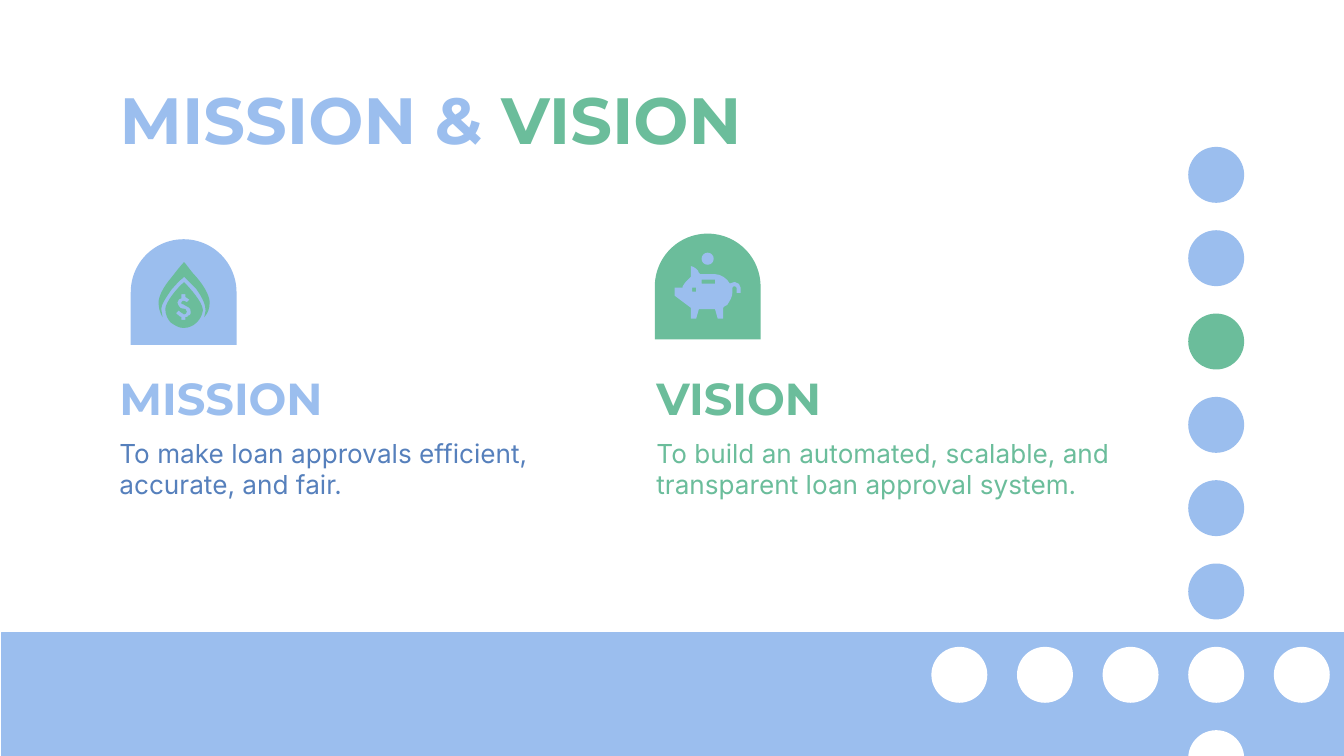
from dataclasses import dataclass

from lxml.etree import SubElement
from pptx import Presentation
from pptx.dml.color import RGBColor as RGB
from pptx.enum.shapes import MSO_SHAPE as Shape
from pptx.enum.text import MSO_ANCHOR as Anchor, MSO_AUTO_SIZE as Fit, PP_ALIGN as Align
from pptx.oxml.ns import qn
from pptx.util import Inches, Pt

WIDE = Inches(10)
HIGH = WIDE * 9 // 16
UNIT = WIDE / 100  # the slide is a square grid, 100 columns wide

Point = tuple[float, float]
Ring = list[list[Point]]  # each step lists its points: one for a line, three for a curve


@dataclass(frozen=True)
class Theme:
    blue: RGB = RGB.from_string("9BBEEE")
    green: RGB = RGB.from_string("6BBD9B")
    ink: RGB = RGB.from_string("5680BC")
    white: RGB = RGB.from_string("FFFFFF")
    head: str = "Montserrat"
    body: str = "Inter"
    title: int = 35
    sub: int = 24
    text: int = 14


@dataclass(frozen=True)
class Box:
    left: float
    top: float
    width: float
    height: float

    def emu(self) -> list[int]:
        return [round(n * UNIT) for n in (self.left, self.top, self.width, self.height)]


@dataclass(frozen=True)
class Panel:
    name: str
    text: str
    left: float
    dome: Point
    tint: RGB
    ink: RGB
    mark: RGB
    icon: tuple[str, ...]


T = Theme()

# Icon outlines: SVG-like commands in tenths of a grid unit
COIN_DROP = (
    "M 138 219 L 138 221 C 139 222 140 222 141 223 L 141 223 L 139 225 "
    "C 139 225 138 224 137 224 C 137 224 136 224 136 224 C 136 224 135 225 135 225 "
    "C 135 226 135 226 135 226 C 136 226 137 227 139 228 C 142 229 142 231 142 233 "
    "C 142 234 141 235 140 235 C 140 236 139 236 138 236 L 138 238 L 135 238 L 135 236 "
    "C 134 236 133 235 132 234 L 131 233 L 133 231 L 134 232 C 135 233 136 233 137 234 "
    "L 137 234 C 138 234 139 233 139 232 C 139 231 138 231 138 230 "
    "C 136 230 134 229 134 229 C 134 229 134 229 134 229 C 133 228 132 226 132 225 "
    "C 132 223 134 222 135 222 L 135 222 L 135 219 Z "
    "M 137 210 C 132 214 123 225 123 230 C 123 234 125 238 127 240 "
    "C 130 242 133 244 136 244 L 137 244 C 144 244 150 238 151 231 "
    "C 151 225 141 214 137 210 Z",
    "M 137 195 C 135 197 131 202 128 206 C 121 214 118 221 118 225 C 118 229 119 233 121 236 "
    "C 121 234 120 232 120 230 C 120 227 123 222 128 215 C 131 212 133 209 136 207 "
    "L 137 206 L 138 207 C 141 210 143 212 146 215 C 151 222 153 227 153 231 "
    "C 153 233 153 234 152 236 C 155 233 156 229 156 225 C 156 221 153 214 146 206 "
    "C 142 202 139 197 137 195 Z",
)
PIG_BANK = (
    "M 526.5 188 C 524 188 522 190 522 192.5 C 522 195 524 197 526.5 197 "
    "C 529 197 531 195 531 192.5 C 531 190 529 188 526.5 188 Z",
    "M 532 208 L 532 211 L 522 211 L 522 208 Z M 518 214 L 518 217 L 515 217 L 515 214 Z "
    "M 514 198 L 514 206 L 513 207 C 513 207 512 208 512 208 C 510 210 509 211 508 213 "
    "L 508 214 L 502 214 L 502 220 L 514 229 L 514 237 L 518 237 L 520 230 L 532 230 "
    "L 534 237 L 538 237 L 538 229 L 539 228 C 540 228 540 227 541 227 "
    "C 543 224 545 221 545 217 L 545 214 C 545 213 546 213 547 213 L 547 213 "
    "C 548 213 548 213 548 214 L 548 218 L 551 218 L 551 214 C 551 212 549 210 547 210 "
    "C 546 210 546 210 546 210 C 546 210 546 210 546 210 C 545 210 544 210 543 211 "
    "C 541 207 536 204 532 204 L 521 204 L 520 203 C 520 202 519 201 518 200 "
    "C 517 199 515 198 514 198 Z",
)

PANELS = (
    Panel("MISSION", "To make loan approvals efficient, accurate, and fair.",
          7.9, (9.73, 17.8), T.blue, T.ink, T.green, COIN_DROP),
    Panel("VISION", "To build an automated, scalable, and transparent loan approval system.",
          47.86, (48.72, 17.38), T.green, T.green, T.blue, PIG_BANK),
)


def paint(shape, fill: RGB, edge: RGB | None = None) -> None:
    shape.shadow.inherit = False
    shape.fill.solid()
    shape.fill.fore_color.rgb = fill
    if edge is None:
        shape.line.fill.background()
    else:
        shape.line.color.rgb = edge
        shape.line.width = Pt(0.75)


def draw(slide, kind: Shape, box: Box, fill: RGB, edge: RGB | None = None):
    shape = slide.shapes.add_shape(kind, *box.emu())
    paint(shape, fill, edge)
    return shape


def trace(path: str) -> list[Ring]:
    """Turn outline commands into closed rings of steps, in EMU."""
    rings = []
    words = iter(path.split())
    for word in words:
        if word == "Z":
            continue
        if word == "M":
            rings.append([])
        count = 3 if word == "C" else 1
        rings[-1].append([(float(next(words)) * UNIT / 10, float(next(words)) * UNIT / 10)
                          for _ in range(count)])
    return rings


def bend(shape, steps: Ring) -> None:
    """Make curves of the lines whose steps have control points."""
    for line, step in zip(list(shape.element.iter(qn("a:lnTo"))), steps):
        if len(step) == 1:
            continue
        line.tag = qn("a:cubicBezTo")
        end = line[0]
        for x, y in step[:2]:
            dot = SubElement(line, qn("a:pt"))
            dot.set("x", str(round(x - shape.left)))
            dot.set("y", str(round(y - shape.top)))
            end.addprevious(dot)


def outline(slide, path: str, fill: RGB) -> None:
    rings = trace(path)
    pen = slide.shapes.build_freeform(*rings[0][0][0])
    for n, (start, *steps) in enumerate(rings):
        if n:
            pen.move_to(*start[0])
        pen.add_line_segments([step[-1] for step in steps])
    shape = pen.convert_to_shape()
    bend(shape, [step for ring in rings for step in ring[1:]])
    paint(shape, fill)


def write(shape, runs: list[tuple[str, RGB]], font: str, size: int,
          bold: bool = False, anchor: Anchor = Anchor.TOP) -> None:
    frame = shape.text_frame
    frame.word_wrap, frame.auto_size = True, Fit.NONE
    frame.vertical_anchor = anchor
    frame.margin_left = frame.margin_right = round(UNIT)
    frame.margin_top = frame.margin_bottom = round(UNIT)
    para = frame.paragraphs[0]
    para.alignment = Align.LEFT
    para.font.name, para.font.size, para.font.bold = font, Pt(size), bold
    for text, tint in runs:
        run = para.add_run()
        run.text = text
        run.font.color.rgb = tint


def panel(slide, item: Panel) -> None:
    dome = draw(slide, Shape.ROUND_2_SAME_RECTANGLE, Box(*item.dome, 7.87, 7.87), item.tint)
    dome.adjustments[0], dome.adjustments[1] = 0.5, 0
    for path in item.icon:
        outline(slide, path, item.mark)
    name = slide.shapes.add_textbox(*Box(item.left, 26.25, 36.3, 6.3).emu())
    write(name, [(item.name, item.tint)], T.head, T.sub, True, Anchor.BOTTOM)
    text = slide.shapes.add_textbox(*Box(item.left, 31.54, 36.3, 7).emu())
    write(text, [(item.text, item.ink)], T.body, T.text)


def dots(slide) -> None:
    """Draw a column and a row of dots that cross on the bottom bar."""
    cross_col, cross_row = 3, 6
    cells = [(cross_col, row) for row in range(8)]
    cells += [(col, cross_row) for col in range(5) if col != cross_col]
    for col, row in cells:
        tint = T.white if row >= cross_row else T.green if row == 2 else T.blue
        draw(slide, Shape.OVAL, Box(69.3 + 6.37 * col, 10.93 + 6.2 * row, 4.16, 4.16), tint)


def main() -> None:
    deck = Presentation()
    deck.slide_width, deck.slide_height = WIDE, HIGH
    slide = deck.slides.add_slide(deck.slide_layouts[5])
    title = slide.shapes.title
    title.left, title.top, title.width, title.height = Box(7.9, 4.9, 55.6, 7.5).emu()
    write(title, [("MISSION & ", T.blue), ("VISION", T.green)], T.head, T.title, True)
    draw(slide, Shape.RECTANGLE, Box(0.1, 47.1, 99.9, 9.2), T.blue, T.blue)
    for item in PANELS:
        panel(slide, item)
    dots(slide)
    deck.save("out.pptx")


if __name__ == "__main__":
    main()
